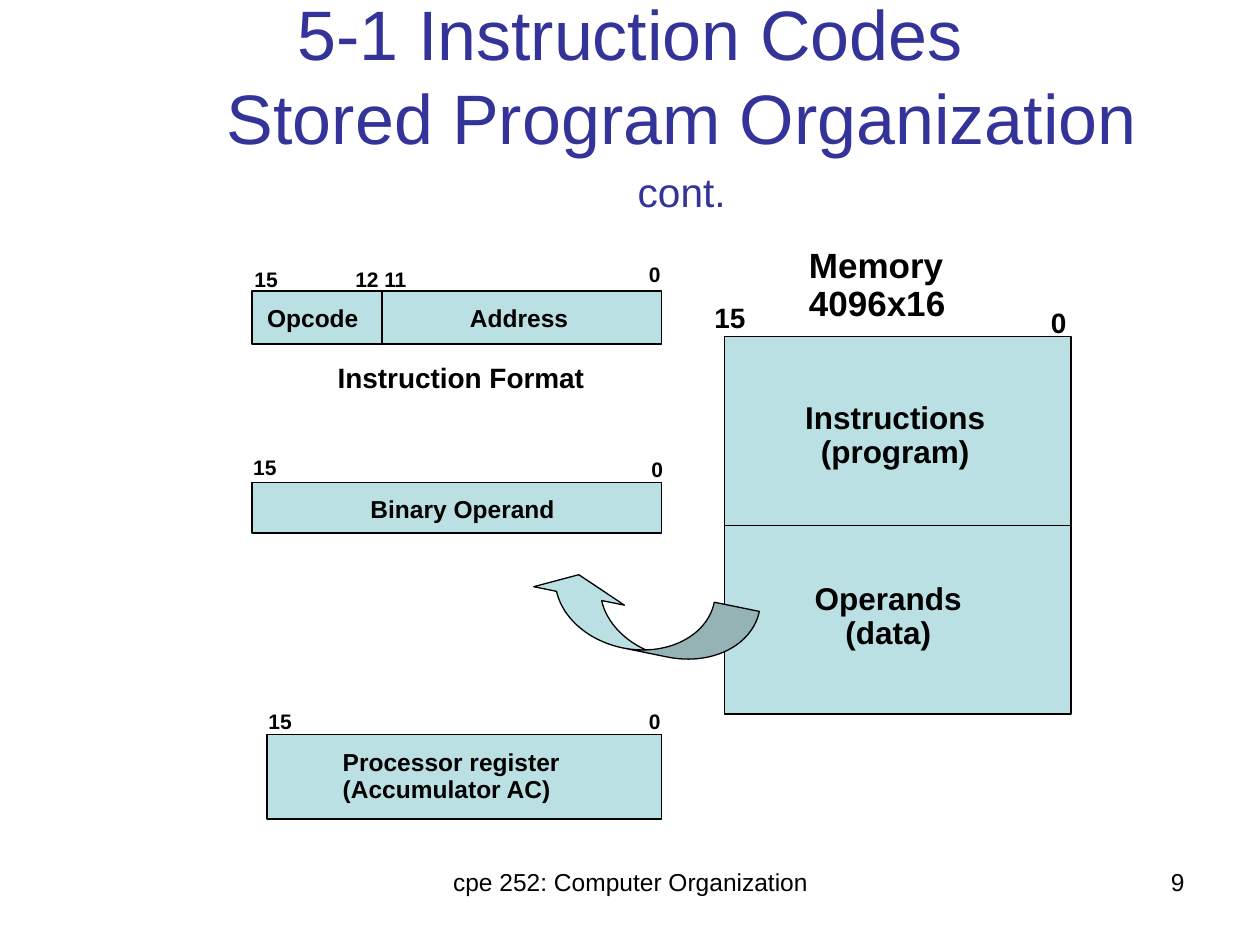
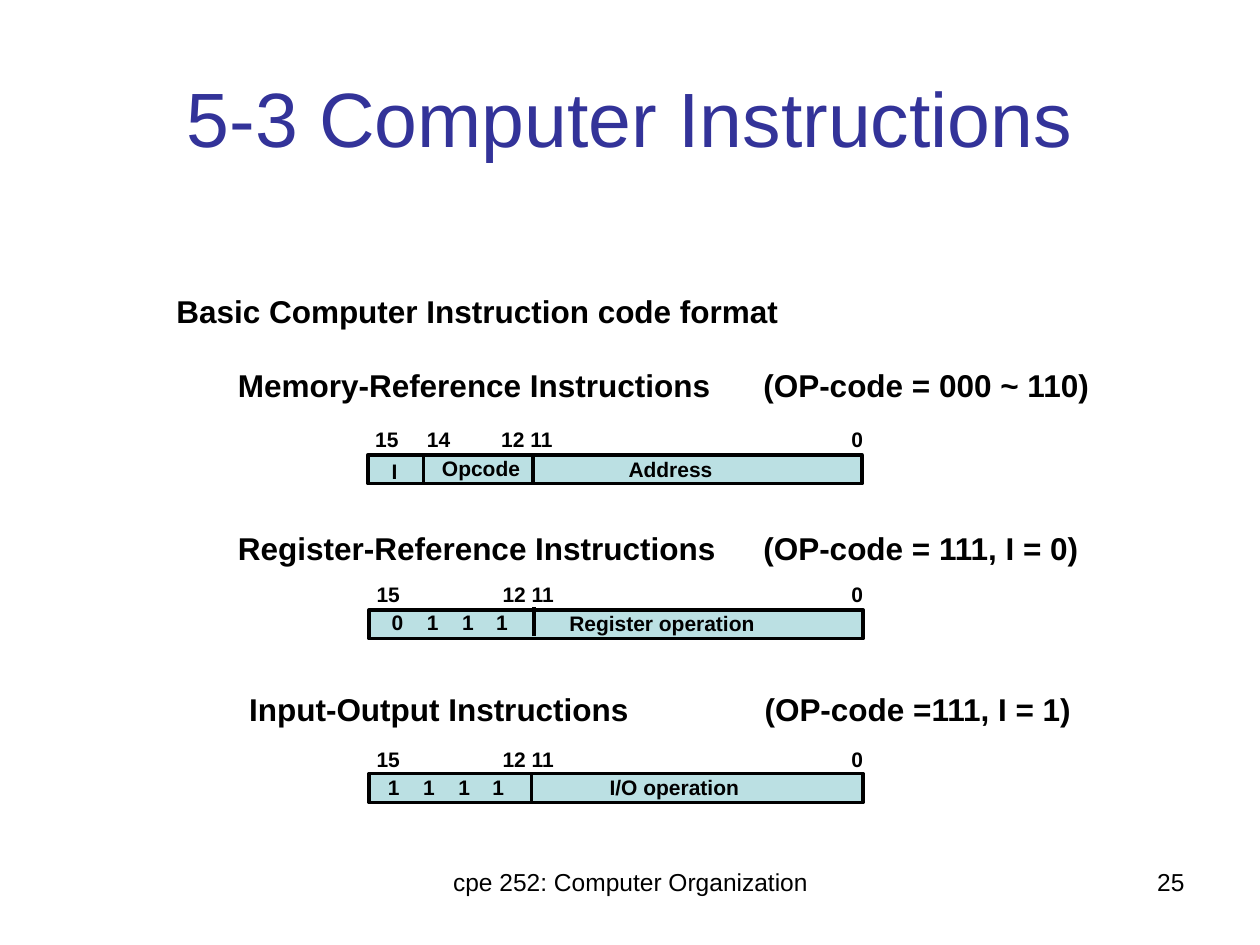
from lxml import etree
from pptx import Presentation
from pptx.dml.color import RGBColor as RGB
from pptx.enum.shapes import MSO_CONNECTOR as CONN, MSO_SHAPE as SHAPE
from pptx.enum.text import MSO_ANCHOR as ANCHOR, MSO_AUTO_SIZE as AUTO, PP_ALIGN as ALIGN
from pptx.oxml.ns import qn
from pptx.util import Inches, Pt

COLORS = {"title": "333399", "text": "000000", "line": "000000", "fill": "BBE0E3"}
FONT = "Arial"

prs = Presentation()
prs.slide_width, prs.slide_height = Inches(10), Inches(7.5)


def write(s, text, x, y, w, h=0.3, size=12, bold=True, color="text", align=ALIGN.LEFT,
          spacing=0.9, inset=(0.1, 0.05), anchor=ANCHOR.TOP, tabs=(), hanging=0,
          raised="", sp=None):
    """Write text in a new text box, or in sp when one is given."""
    box = [Inches(v) for v in (x, y, w, h)]
    if sp is None:
        sp = s.shapes.add_textbox(*box)
    sp.left, sp.top, sp.width, sp.height = box
    tf = sp.text_frame
    tf.word_wrap, tf.auto_size, tf.vertical_anchor = True, AUTO.NONE, anchor
    tf.margin_left = tf.margin_right = Inches(inset[0])
    tf.margin_top = tf.margin_bottom = Inches(inset[1])
    p = tf.paragraphs[0]
    p.text = text
    p.alignment, p.line_spacing = align, spacing
    if raised:
        r = p.add_run()
        r.text = raised
        r._r.get_or_add_rPr().set("baseline", "30000")
    for r in p.runs:
        f = r.font
        f.name, f.size, f.bold = FONT, Pt(size), bold
        f.color.rgb = RGB.from_string(COLORS[color])
    pPr = p._p.get_or_add_pPr()
    if hanging:
        pPr.set("marL", str(Inches(hanging)))
        pPr.set("indent", str(-Inches(hanging)))
    if tabs:
        tab_list = etree.SubElement(pPr, qn("a:tabLst"))
        for pos in tabs:
            etree.SubElement(tab_list, qn("a:tab"), pos=str(Inches(pos)), algn="l")


def draw(s, x, y, w, h, weight=1, kind=SHAPE.RECTANGLE, lines=()):
    """Draw a filled shape and the (weight, x1, y1, x2, y2) lines that divide it."""
    sp = s.shapes.add_shape(kind, *[Inches(v) for v in (x, y, w, h)])
    sp.shadow.inherit = False
    sp.fill.solid()
    sp.fill.fore_color.rgb = RGB.from_string(COLORS["fill"])
    sp.line.color.rgb = RGB.from_string(COLORS["line"])
    sp.line.width = Pt(weight)
    for line_weight, *ends in lines:
        c = s.shapes.add_connector(CONN.STRAIGHT, *[Inches(v) for v in ends])
        c.line.color.rgb = RGB.from_string(COLORS["line"])
        c.line.width = Pt(line_weight)
        etree.SubElement(c._element.spPr, qn("a:effectLst"))
    return sp


# Titles and footers of both slides
slides = []
for title, raised, size, number in (
    ("5-1 Instruction Codes\vStored Program Organization ", "cont.", 40, "9"),
    ("5-3 Computer Instructions", "", 44, "25"),
):
    s = prs.slides.add_slide(prs.slide_layouts[5])
    write(s, title, 0.5, 0.3, 9, 1.25, size=size, bold=False, color="title",
          align=ALIGN.CENTER, spacing=1.0, anchor=ANCHOR.MIDDLE, hanging=0.82,
          raised=raised, sp=s.shapes.title)
    for text, x, w, align in (("cpe 252: Computer Organization", 3.42, 3.17, ALIGN.CENTER),
                              (number, 7.17, 2.33, ALIGN.RIGHT)):
        write(s, text, x, 6.83, w, 0.52, size=14, bold=False, align=align, spacing=1.0)
    slides.append(s)

# Stored program organization: registers and memory
s = slides[0]
draw(s, 2.12, 5.83, 3.13, 0.67)
draw(s, 2, 3.83, 3.25, 0.4)
draw(s, 2, 2.31, 3.25, 0.42, lines=[(1, 3.03, 2.31, 3.03, 2.73)])
draw(s, 5.75, 2.67, 2.75, 3, lines=[(0.75, 5.75, 4.17, 8.5, 4.17)])

# Curved arrow from the operands to the binary operand
arrow = draw(s, 4.83, 4, 0.5, 1.83, weight=0.75, kind=SHAPE.CURVED_LEFT_ARROW)
arrow.rotation = 101.5
for i, value in enumerate((0.73, 1.47, 0.33)):
    arrow.adjustments[i] = value

# Names of the registers and memory parts
for text, x, y, w, size, align in (
    ("Opcode", 2.03, 2.38, 1.17, 14, ALIGN.LEFT),
    ("Address", 3.64, 2.38, 1.07, 14, ALIGN.LEFT),
    ("Instruction Format", 2.59, 2.84, 2.67, 16, ALIGN.LEFT),
    ("Binary Operand", 2.85, 3.9, 2.42, 14, ALIGN.LEFT),
    ("Processor register (Accumulator AC)", 2.63, 5.91, 2, 14, ALIGN.LEFT),
    ("Memory 4096x16", 6.33, 1.92, 1.5, 20, ALIGN.LEFT),
    ("Instructions (program)", 6.23, 3.14, 1.75, 18, ALIGN.CENTER),
    ("Operands (data)", 6.33, 4.58, 1.44, 18, ALIGN.CENTER),
):
    write(s, text, x, y, w, size=size, align=align, inset=(0.09, 0.05))

# Bit numbers
for text, x, y, size in (
    ("15", 1.93, 2.09, 12), ("12", 2.73, 2.09, 12), ("11", 2.96, 2.09, 12),
    ("0", 5.06, 2.05, 12), ("15", 1.92, 3.58, 12), ("0", 5.08, 3.6, 12),
    ("15", 2.04, 5.6, 12), ("0", 5.06, 5.6, 12),
    ("15", 5.58, 2.37, 16), ("0", 8.25, 2.41, 16),
):
    write(s, text, x, y, 0.5, size=size, inset=(0.09, 0.05))

# Instruction code formats
s = slides[1]
write(s, "Basic Computer Instruction code format", 1.33, 2.28, 5.2, 0.36, size=18,
      spacing=1.02, inset=(0.07, 0.03))

for heading, head_x, head_y, tab in (
    ("Memory-Reference Instructions\t(OP-code = 000 ~ 110)", 1.79, 2.89, 4.17),
    ("Register-Reference Instructions\t(OP-code = 111, I = 0)", 1.79, 4.18, 4.17),
    ("Input-Output Instructions\t(OP-code =111, I = 1)", 1.88, 5.46, 4.09),
):
    write(s, heading, head_x, head_y, 7.2, 0.37, size=18, tabs=[tab])

# Each format: bar, dividers, high bit numbers, fields
for x, y, label_y, dividers, divider_y, high_bits, fields in (
    (2.92, 3.61, 3.36, (3.36, 4.23), 3.61, "15\t14",
     (("I", 3.01, 3.61), ("Opcode", 3.41, 3.59), ("Address", 4.89, 3.6))),
    (2.93, 4.84, 4.59, (4.24,), 4.82, "15",
     (("0\t1\t1\t1", 3.01, 4.81), ("Register operation", 4.42, 4.82))),
    (2.93, 6.14, 5.9, (4.22,), 6.15, "15",
     (("1\t1\t1\t1", 2.98, 6.12), ("I/O operation", 4.74, 6.12))),
):
    draw(s, x, y, 3.92, 0.23, weight=2,
         lines=[(2, d, divider_y, d, divider_y + 0.23) for d in dividers])
    write(s, high_bits, x - 0.04, label_y, 1, tabs=[0.41])
    write(s, "12 11", x + 0.96, label_y, 0.8)
    write(s, "0", 6.66, label_y, 0.4)
    for text, field_x, field_y in fields:
        write(s, text, field_x, field_y, 1.8, tabs=[0.28, 0.56, 0.83] if "\t" in text else ())

prs.save("out.pptx")
